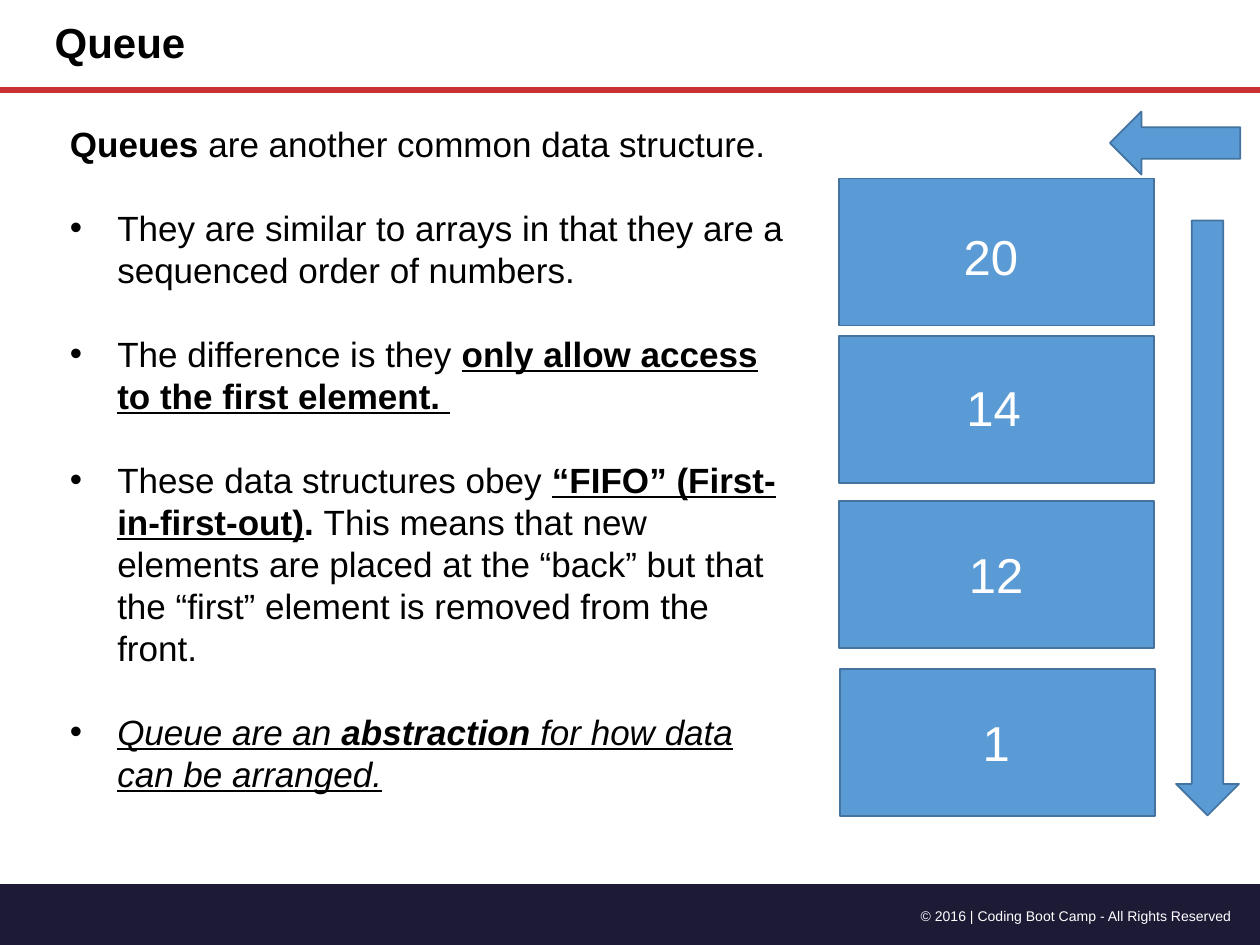
import pptx
import pptx.dml.color
import pptx.enum.shapes
import pptx.enum.text
import pptx.oxml.ns
import pptx.util
from lxml import etree

Pt = pptx.util.Pt
SHAPE = pptx.enum.shapes.MSO_SHAPE
ALIGN = pptx.enum.text.PP_ALIGN
ANCHOR = pptx.enum.text.MSO_ANCHOR
AUTO_SIZE = pptx.enum.text.MSO_AUTO_SIZE
qn = pptx.oxml.ns.qn

COLORS = {
    "black": "000000",
    "white": "FFFFFF",
    "navy": "1D1A36",
    "red": "C83232",
    "blue": "5B9BD5",
    "edge": "43739E",
}


def add_run(paragraph, text, size, color, style=""):
    """Add a run; style holds any of b (bold), i (italic), u (underline)."""
    run = paragraph.add_run()
    run.text = text
    run.font.name = "Arial"
    run.font.size = Pt(size)
    run.font.color.rgb = pptx.dml.color.RGBColor.from_string(COLORS[color])
    run.font.bold = "b" in style
    run.font.italic = "i" in style
    run.font.underline = "u" in style


def add_filled(preset, left, top, width, height, fill, edge=None):
    shape = slide.shapes.add_shape(preset, Pt(left), Pt(top), Pt(width), Pt(height))
    shape.shadow.inherit = False
    shape.fill.solid()
    shape.fill.fore_color.rgb = pptx.dml.color.RGBColor.from_string(COLORS[fill])
    if edge:
        shape.line.color.rgb = pptx.dml.color.RGBColor.from_string(COLORS[edge])
        shape.line.width = Pt(1)
    else:
        shape.line.fill.background()
    return shape


deck = pptx.Presentation()
deck.slide_width, deck.slide_height = Pt(720), Pt(540)
slide = deck.slides.add_slide(deck.slide_layouts[1])

# Footer band and header rule
add_filled(SHAPE.FLOWCHART_PROCESS, 0, 505.2, 720, 34.8, "navy")
copyright_note = slide.shapes.add_textbox(Pt(491.5), Pt(514.8), Pt(219.5), Pt(17))
copyright_note.text_frame.word_wrap = True
copyright_line = copyright_note.text_frame.paragraphs[0]
copyright_line.alignment = ALIGN.RIGHT
add_run(copyright_line, "© 2016 | Coding Boot Camp - All Rights Reserved", 8, "white")

header_rule = slide.shapes.add_connector(
    pptx.enum.shapes.MSO_CONNECTOR.STRAIGHT, 0, Pt(51.5), Pt(720), Pt(51.5))
header_rule.line.color.rgb = pptx.dml.color.RGBColor.from_string(COLORS["red"])
header_rule.line.width = Pt(3.25)
etree.SubElement(header_rule._element.spPr, qn("a:effectLst"))

# Title
title = slide.shapes.title
title.left, title.top, title.width, title.height = Pt(24), Pt(0), Pt(660), Pt(51.5)
title.text_frame.vertical_anchor = ANCHOR.MIDDLE
title.text_frame.auto_size = AUTO_SIZE.NONE
heading = title.text_frame.paragraphs[0]
heading.alignment = ALIGN.LEFT
heading.line_spacing = 0.9
add_run(heading, "Queue", 24, "black", "b")

# Explanation: the lead sentence, then the bullets
points = [
    [("Queues ", "b"), ("are another common data structure.", "")],
    [("They are similar to arrays in that they are a sequenced order of numbers.", "")],
    [("The difference is they ", ""),
     ("only allow access to the first element. ", "bu")],
    [("These data structures obey ", ""),
     ("“FIFO” (First-in-first-out)", "bu"),
     (". ", "b"),
     ("This means that new elements are placed at the “back” but that "
      "the “first” element is removed from the front.", "")],
    [("Queue are an ", "iu"), ("abstraction ", "biu"),
     ("for how data can be arranged.", "iu")],
]
body = slide.placeholders[1]
body.left, body.top, body.width, body.height = Pt(32.8), Pt(66.2), Pt(423.4), Pt(395.3)
body.text_frame.word_wrap = True
body.text_frame.auto_size = AUTO_SIZE.NONE
body.text_frame.vertical_anchor = ANCHOR.TOP
for index, runs in enumerate(points):
    is_lead = index == 0
    point = body.text_frame.paragraphs[0] if is_lead else body.text_frame.add_paragraph()
    point.alignment = ALIGN.LEFT
    point.line_spacing = Pt(24)
    point.space_before = Pt(0 if is_lead else 24)
    indent = Pt(0 if is_lead else 27)
    properties = point._p.get_or_add_pPr()
    properties.set("marL", str(indent))
    properties.set("indent", str(-indent))
    if is_lead:
        etree.SubElement(properties, qn("a:buNone"))
    else:
        etree.SubElement(properties, qn("a:buFont"), typeface="Arial")
        etree.SubElement(properties, qn("a:buChar"), char="•")
    for text, style in runs:
        add_run(point, text, 20, "black", style)

# Queue from back to front: value, cell left and top, label left, top and width
cells = [
    ("20", 479.5, 102, 543.6, 126, 46),
    ("14", 479.5, 192, 545.2, 212.2, 46),
    ("12", 479.5, 286.3, 546.6, 307.4, 46),
    ("1", 480, 382.3, 554.4, 403.7, 30),
]
for value, left, top, label_left, label_top, label_width in cells:
    add_filled(SHAPE.RECTANGLE, left, top, 180, 84, "blue", "edge")
    label = slide.shapes.add_textbox(Pt(label_left), Pt(label_top), Pt(label_width), Pt(41))
    label.text_frame.word_wrap = False
    add_run(label.text_frame.paragraphs[0], value, 28, "white")

# Arrows: entering at the back, moving to the front
for left, top, length, rotation in [(653.5, 44.5, 74.5, 270), (672, 126, 340, 180)]:
    arrow = add_filled(SHAPE.UP_ARROW, left, top, 36, length, "blue", "edge")
    arrow.rotation = rotation

deck.save("out.pptx")
